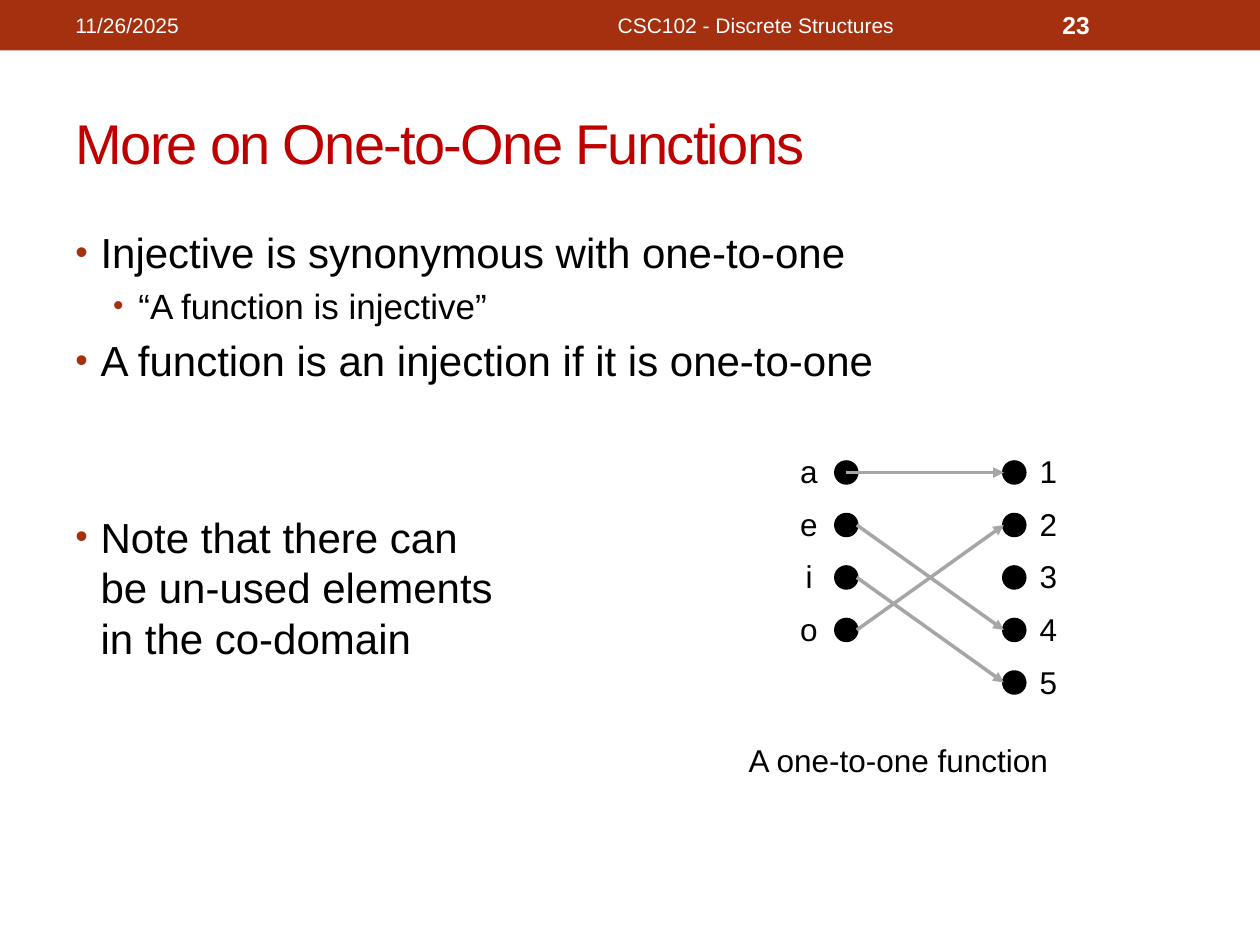
from dataclasses import dataclass

from lxml.etree import SubElement
from pptx import Presentation
from pptx.dml.color import RGBColor as Rgb
from pptx.enum.shapes import MSO_CONNECTOR as Connector, MSO_SHAPE as Shape
from pptx.enum.text import MSO_ANCHOR as Anchor, MSO_AUTO_SIZE as AutoSize, PP_ALIGN as Align
from pptx.oxml.ns import qn
from pptx.util import Emu, Pt


@dataclass(frozen=True)
class Theme:
    font: str = "Arial"
    band: str = "A5300F"
    title: str = "C00000"
    ink: str = "000000"
    paper: str = "FFFFFF"
    arrow: str = "A6A6A6"
    title_size: int = 32
    body_size: int = 24
    sub_size: int = 20
    label_size: int = 18
    number_size: int = 14
    header_size: int = 12
    stroke: int = 2


THEME = Theme()
PX = 7620  # EMU per px, 120 px to the inch

# Mapping diagram grid
DOT, ROW_STEP, FIRST_ROW = 20, 50, 450
DOMAIN_X, CODOMAIN_X = 806, 966
DOMAIN, CODOMAIN = "aeio", "12345"
MAPPING = {"a": "1", "e": "4", "i": "5", "o": "2"}

# Text, level, space before in points
BULLETS = [
    ("Injective is synonymous with one-to-one", 0, 0),
    ("“A function is injective”", 1, 4),
    ("A function is an injection if it is one-to-one", 0, 5),
    ("Note that there can\vbe un-used elements\vin the co-domain", 0, 72),
]


def px(value):
    return Emu(value * PX)


def color(code):
    return Rgb.from_string(code)


def style(para, size, code, bold=False):
    for span in para.runs:
        span.font.name = THEME.font
        span.font.size = Pt(size)
        span.font.bold = bold
        span.font.color.rgb = color(code)


def add_text(page, area, text, size, code, align=Align.LEFT,
             anchor=Anchor.TOP, wrap=True, spacing=None, bold=False):
    box = page.shapes.add_textbox(*map(px, area))
    frame = box.text_frame
    frame.word_wrap = wrap
    frame.vertical_anchor = anchor
    frame.text = text
    for para in frame.paragraphs:
        para.alignment = align
        para.line_spacing = spacing
        style(para, size, code, bold)


def add_solid(page, kind, area, code, outlined=False):
    shape = page.shapes.add_shape(kind, *map(px, area))
    shape.shadow.inherit = False
    shape.fill.solid()
    shape.fill.fore_color.rgb = color(code)
    if outlined:
        shape.line.color.rgb = color(code)
        shape.line.width = Pt(THEME.stroke)
    else:
        shape.line.fill.background()


def add_arrow(page, start, end):
    arrow = page.shapes.add_connector(Connector.STRAIGHT, *map(px, start + end))
    arrow.line.color.rgb = color(THEME.arrow)
    arrow.line.width = Pt(THEME.stroke)
    SubElement(arrow.line._get_or_add_ln(), qn("a:tailEnd"), type="triangle")
    SubElement(arrow._element.spPr, qn("a:effectLst"))


def add_header(page):
    add_solid(page, Shape.RECTANGLE, (0, 0, 1200, 48), THEME.band)
    fields = [
        (60, 380, "11/26/2025", THEME.header_size, Align.LEFT, False),
        (450, 540, "CSC102 - Discrete Structures", THEME.header_size, Align.CENTER, False),
        (1000, 140, "23", THEME.number_size, Align.LEFT, True),
    ]
    for left, width, text, size, align, bold in fields:
        add_text(page, (left, 2, width, 44), text, size, THEME.paper,
                 align, Anchor.MIDDLE, bold=bold)


def set_title(page, text):
    title = page.shapes.title
    title.left, title.top, title.width, title.height = map(px, (60, 70, 1080, 130))
    frame = title.text_frame
    frame.text = text
    frame.auto_size = AutoSize.NONE
    frame.vertical_anchor = Anchor.MIDDLE
    para = frame.paragraphs[0]
    para.alignment = Align.LEFT
    style(para, THEME.title_size, THEME.title)
    para.runs[0].font._element.set("spc", "-100")


def add_bullet(para, level):
    props = para._p.get_or_add_pPr()
    props.set("marL", str(px(60 if level else 24)))
    props.set("indent", str(px(-24)))
    bullet_color = SubElement(props, qn("a:buClr"))
    SubElement(bullet_color, qn("a:srgbClr"), val=THEME.band)
    SubElement(props, qn("a:buSzPct"), val="85000")
    SubElement(props, qn("a:buFont"), typeface=THEME.font)
    SubElement(props, qn("a:buChar"), char="•")


def add_bullets(page):
    box = page.shapes.add_textbox(*map(px, (60, 210, 1080, 640)))
    frame = box.text_frame
    frame.word_wrap = True
    for index, (text, level, before) in enumerate(BULLETS):
        para = frame.add_paragraph() if index else frame.paragraphs[0]
        para.text = text
        para.level = level
        add_bullet(para, level)
        para.space_before = Pt(before)
        style(para, THEME.sub_size if level else THEME.body_size, THEME.ink)


def row_y(elements, name):
    return FIRST_ROW + ROW_STEP * elements.index(name)


def add_mapping(page):
    radius = DOT // 2
    # Elements and their labels
    for elements, center, label_left in ((DOMAIN, DOMAIN_X, 750), (CODOMAIN, CODOMAIN_X, 978)):
        for name in elements:
            top = row_y(elements, name) - radius
            add_solid(page, Shape.OVAL, (center - radius, top, DOT, DOT), THEME.ink, True)
        add_text(page, (label_left, 410, 41, 264), "\n".join(elements), THEME.label_size,
                 THEME.ink, Align.CENTER, wrap=False, spacing=1.4)
    # Arrows; the level one starts at the dot's center
    for source, target in MAPPING.items():
        start_y, end_y = row_y(DOMAIN, source), row_y(CODOMAIN, target)
        start_x = DOMAIN_X + (0 if start_y == end_y else radius)
        add_arrow(page, (start_x, start_y), (CODOMAIN_X - radius, end_y))
    # Caption
    add_text(page, (700, 700, 311, 48), "A one-to-one function", THEME.label_size,
             THEME.ink, Align.CENTER, wrap=False)


def main():
    deck = Presentation()
    deck.slide_width, deck.slide_height = px(1200), px(900)
    page = deck.slides.add_slide(deck.slide_layouts[5])
    add_header(page)
    set_title(page, "More on One-to-One Functions")
    add_bullets(page)
    add_mapping(page)
    deck.save("out.pptx")


if __name__ == "__main__":
    main()
